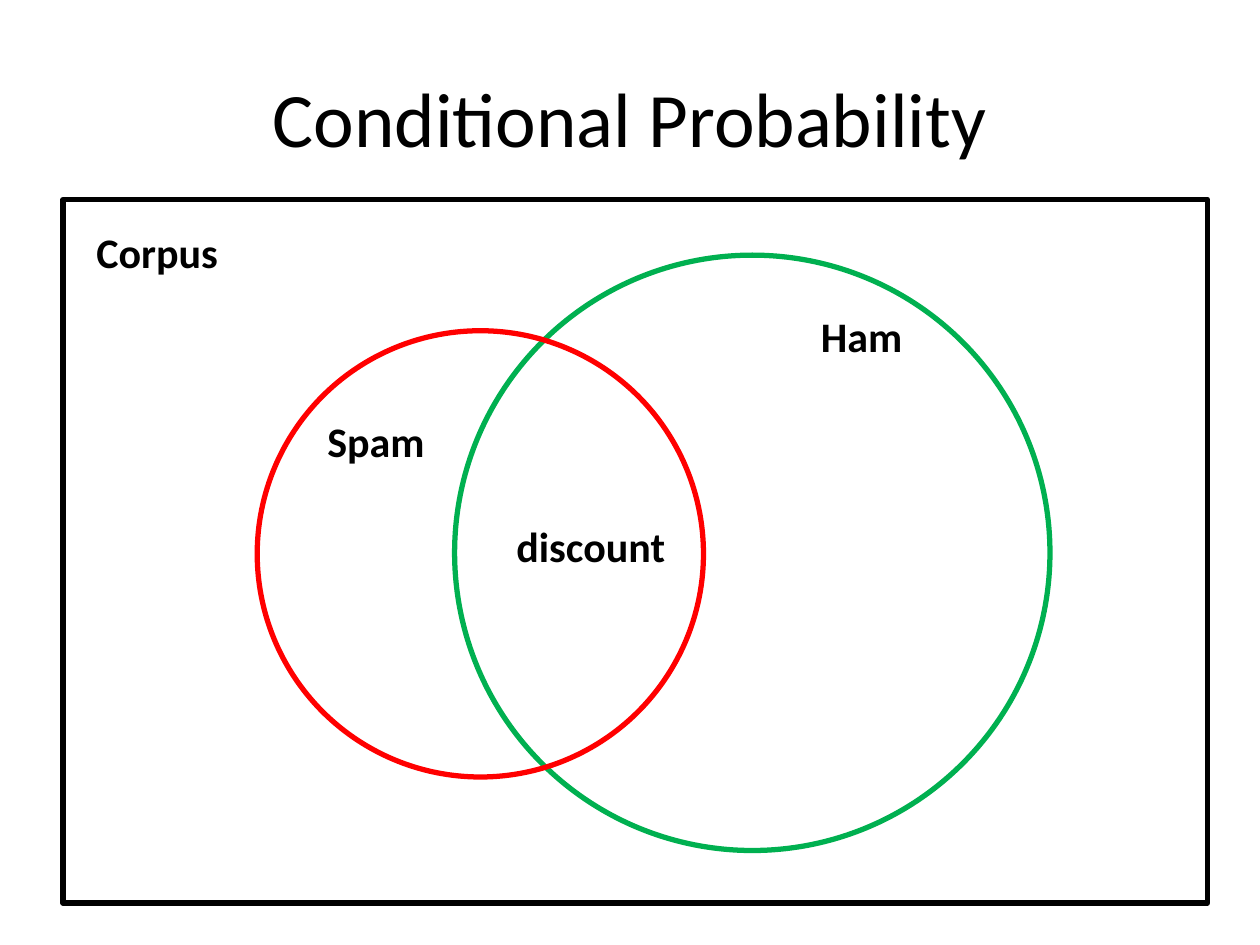
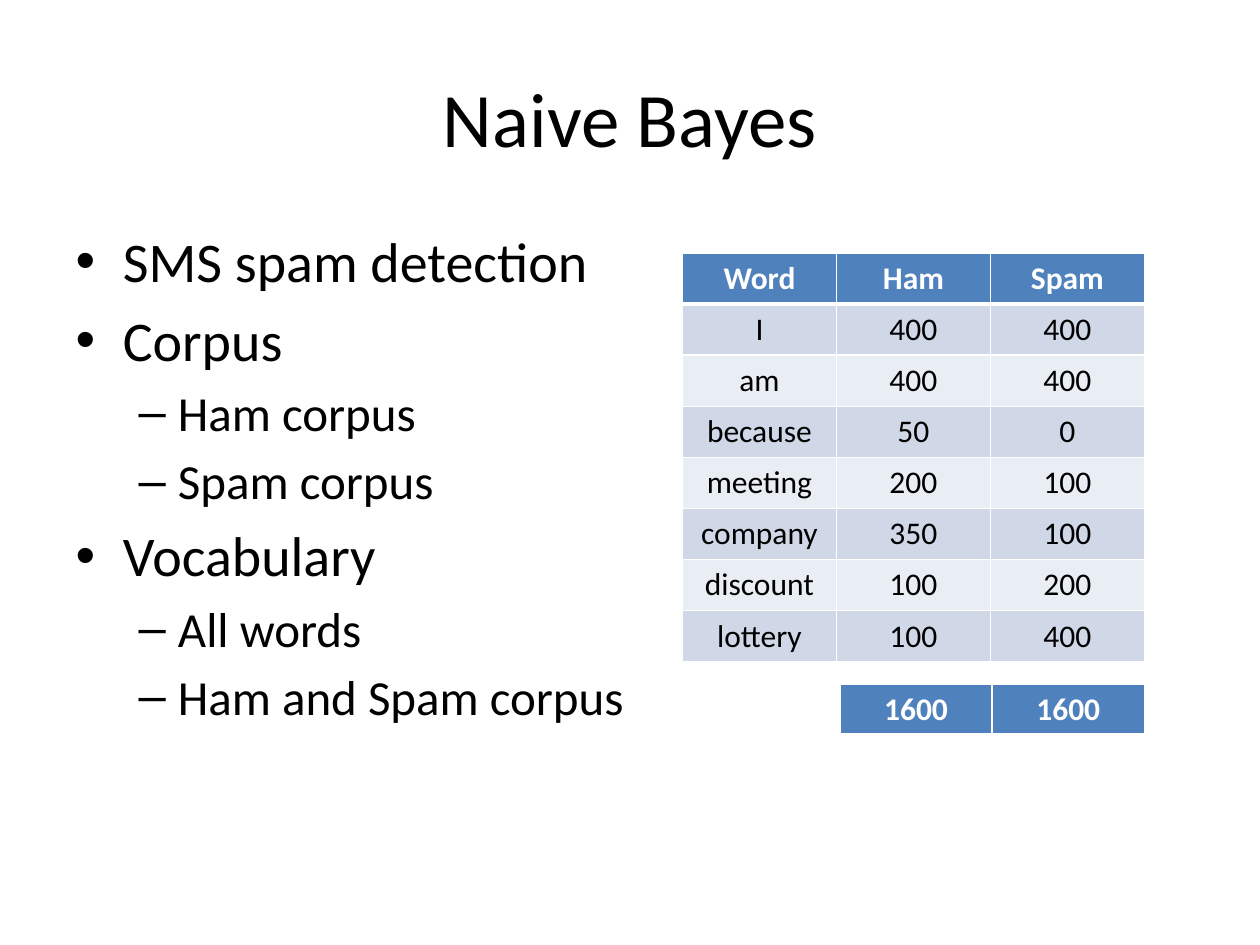
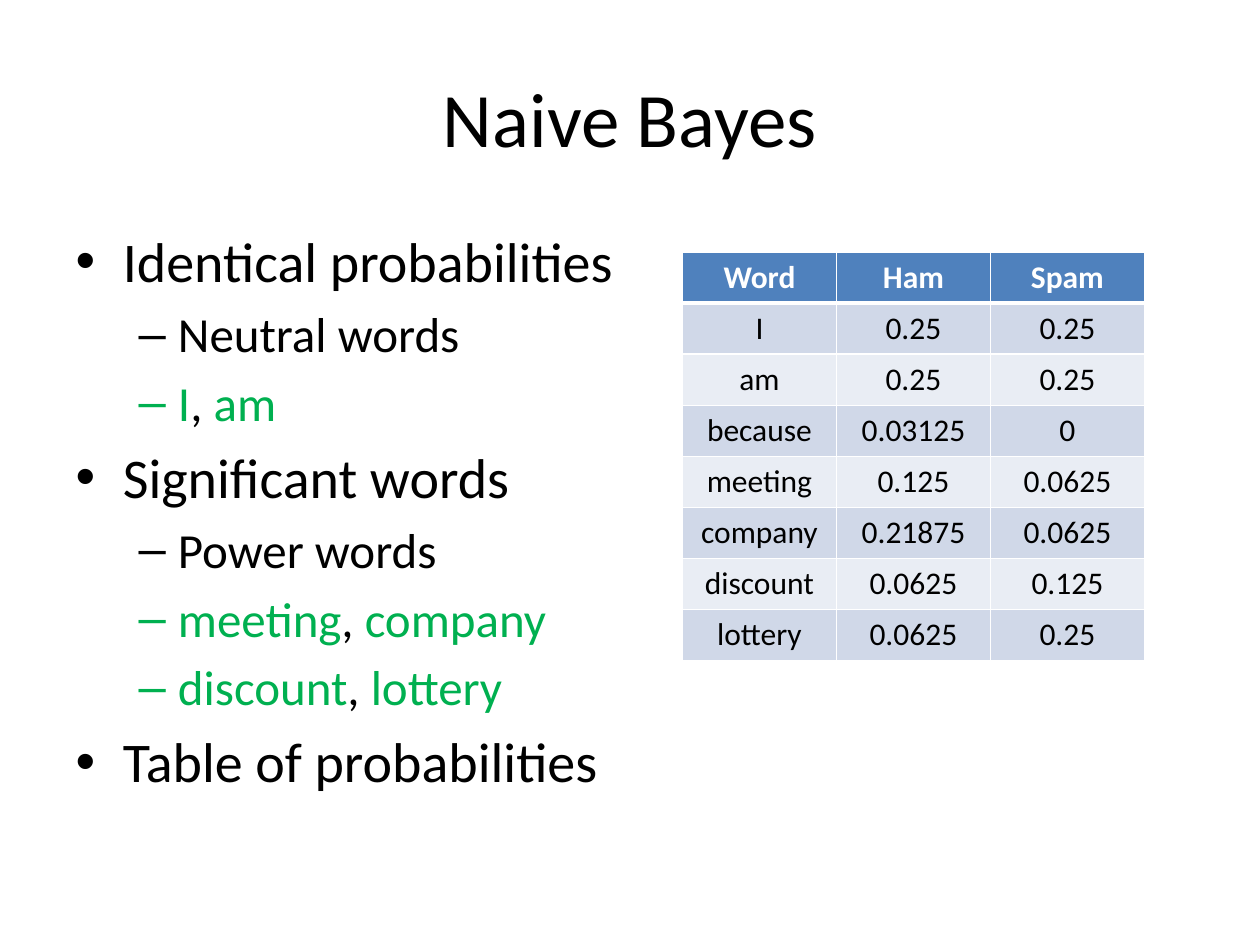
from lxml.etree import SubElement
from pptx import Presentation
from pptx.dml.color import RGBColor
from pptx.enum.shapes import MSO_SHAPE
from pptx.enum.text import MSO_ANCHOR, MSO_AUTO_SIZE, PP_ALIGN
from pptx.oxml.ns import qn
from pptx.util import Inches, Pt

# Shared look
BLACK = RGBColor(0x00, 0x00, 0x00)
WHITE = RGBColor(0xFF, 0xFF, 0xFF)
RED = RGBColor(0xFF, 0x00, 0x00)
GREEN = RGBColor(0x00, 0xB0, 0x50)
HEADER_BLUE = RGBColor(0x4F, 0x81, 0xBD)
BAND_DARK = RGBColor(0xD0, 0xD8, 0xE8)
BAND_LIGHT = RGBColor(0xE9, 0xED, 0xF4)

TITLE = {"name": "Calibri", "size": Pt(44)}
LEVELS = ({"name": "Calibri", "size": Pt(32)},
          {"name": "Calibri", "size": Pt(28)})
LABEL = {"name": "Calibri", "size": Pt(24), "bold": True}
CELL = {"name": "Calibri", "size": Pt(18), "bold": False}
HEADER_CELL = {**CELL, "bold": True}

# Grid: 120 columns by 90 rows on a 10 by 7.5 inch slide
WIDTH, HEIGHT = Inches(10), Inches(7.5)
UNIT = WIDTH / 120
TITLE_AREA = (6, 3.6, 108, 15)
BODY_AREA = (6, 21, 108, 59.4)
TABLE_LEFT, TABLE_WIDTH, ROW_HEIGHT = 65, 44, 4.86

# Word counts in the two corpora
HEADER = ("Word", "Ham", "Spam")
COUNTS = (("I", 400, 400), ("am", 400, 400), ("because", 50, 0),
          ("meeting", 200, 100), ("company", 350, 100),
          ("discount", 100, 200), ("lottery", 100, 400))
TOTALS = tuple(sum(row[i] for row in COUNTS) for i in (1, 2))


def grid(*units):
    return [round(u * UNIT) for u in units]


def add_run(p, text, style, color=BLACK):
    r = p.add_run()
    r.text = text
    for name, value in style.items():
        setattr(r.font, name, value)
    r.font.color.rgb = color


def place(shape, area):
    for name, value in zip(("left", "top", "width", "height"), grid(*area)):
        setattr(shape, name, value)


def add_slide(prs, layout, title):
    s = prs.slides.add_slide(prs.slide_layouts.get_by_name(layout))
    place(s.shapes.title, TITLE_AREA)
    tf = s.shapes.title.text_frame
    tf.vertical_anchor = MSO_ANCHOR.MIDDLE
    p = tf.paragraphs[0]
    p.alignment = PP_ALIGN.CENTER
    add_run(p, title, TITLE)
    return s


def add_bullets(s, items):
    """Each item is a level and a text, or a tuple of example words."""
    body = s.placeholders[1]
    place(body, BODY_AREA)
    tf = body.text_frame
    for i, (level, content) in enumerate(items):
        p = tf.add_paragraph() if i else tf.paragraphs[0]
        p.level = level
        if not i:
            p.space_before = Pt(0)
        if isinstance(content, str):
            add_run(p, content, LEVELS[level])
            continue
        for j, word in enumerate(content):
            if j:
                add_run(p, ", ", LEVELS[level])
            add_run(p, word, LEVELS[level], GREEN)


def add_outline(s, kind, color, *area):
    shape = s.shapes.add_shape(kind, *grid(*area))
    shape.shadow.inherit = False
    shape.fill.background()
    shape.line.color.rgb = color
    shape.line.width = Pt(3)


def add_label(s, text, *area):
    tf = s.shapes.add_textbox(*grid(*area)).text_frame
    tf.word_wrap = False
    tf.auto_size = MSO_AUTO_SIZE.SHAPE_TO_FIT_TEXT
    add_run(tf.paragraphs[0], text, LABEL)


def set_borders(cell, top, bottom):
    tc_pr = cell._tc.get_or_add_tcPr()
    edges = (("a:lnL", 1), ("a:lnR", 1), ("a:lnT", top), ("a:lnB", bottom))
    for i, (tag, width) in enumerate(edges):
        ln = SubElement(tc_pr, qn(tag), w=str(Pt(width)))
        fill = SubElement(ln, qn("a:solidFill"))
        SubElement(fill, qn("a:srgbClr"), val=str(WHITE))
        tc_pr.insert(i, ln)


def add_word_table(s, rows, left, top, width):
    """The first row is a header; the rows below are banded."""
    table = s.shapes.add_table(
        len(rows), len(rows[0]),
        *grid(left, top, width, ROW_HEIGHT * len(rows))).table
    for i, values in enumerate(rows):
        if i == 0:
            style, color, fill = HEADER_CELL, WHITE, HEADER_BLUE
        else:
            style, color = CELL, BLACK
            fill = BAND_DARK if i % 2 else BAND_LIGHT
        for j, value in enumerate(values):
            cell = table.cell(i, j)
            cell.fill.solid()
            cell.fill.fore_color.rgb = fill
            set_borders(cell, top=3 if i == 1 else 1, bottom=1 if i else 3)
            p = cell.text_frame.paragraphs[0]
            p.alignment = PP_ALIGN.CENTER
            add_run(p, str(value), style, color)


def venn_slide(prs):
    s = add_slide(prs, "Title Only", "Conditional Probability")
    # Ham and spam sets inside the corpus
    add_outline(s, MSO_SHAPE.OVAL, GREEN, 43.3, 24.3, 56.7, 56.7)
    add_outline(s, MSO_SHAPE.OVAL, RED, 24.5, 31.5, 42.5, 42.5)
    add_outline(s, MSO_SHAPE.RECTANGLE, BLACK, 6, 19, 109, 67)
    add_label(s, "Ham", 77, 29, 10.2, 6)
    add_label(s, "Spam", 30, 39, 11.8, 6)
    add_label(s, "discount", 48, 49, 16.7, 6)
    add_label(s, "Corpus", 8, 21, 14.2, 6)


def counts_slide(prs):
    s = add_slide(prs, "Title and Content", "Naive Bayes")
    add_bullets(s, (
        (0, "SMS spam detection"),
        (0, "Corpus"),
        (1, "Ham corpus"),
        (1, "Spam corpus"),
        (0, "Vocabulary"),
        (1, "All words"),
        (1, "Ham and Spam corpus")))
    add_word_table(s, (HEADER, *COUNTS), TABLE_LEFT, 24.1, TABLE_WIDTH)
    # Totals under the two count columns
    add_word_table(s, (TOTALS,), 80, 65.2, 29)


def probabilities_slide(prs):
    s = add_slide(prs, "Title and Content", "Naive Bayes")
    add_bullets(s, (
        (0, "Identical probabilities"),
        (1, "Neutral words"),
        (1, ("I", "am")),
        (0, "Significant words"),
        (1, "Power words"),
        (1, ("meeting", "company")),
        (1, ("discount", "lottery")),
        (0, "Table of probabilities")))
    # Share of each word in its corpus
    shares = [(word, *(f"{n / total:g}" for n, total in zip(counts, TOTALS)))
              for word, *counts in COUNTS]
    add_word_table(s, (HEADER, *shares), TABLE_LEFT, 24, TABLE_WIDTH)


def main():
    prs = Presentation()
    prs.slide_width, prs.slide_height = WIDTH, HEIGHT
    venn_slide(prs)
    counts_slide(prs)
    probabilities_slide(prs)
    prs.save("out.pptx")


if __name__ == "__main__":
    main()
